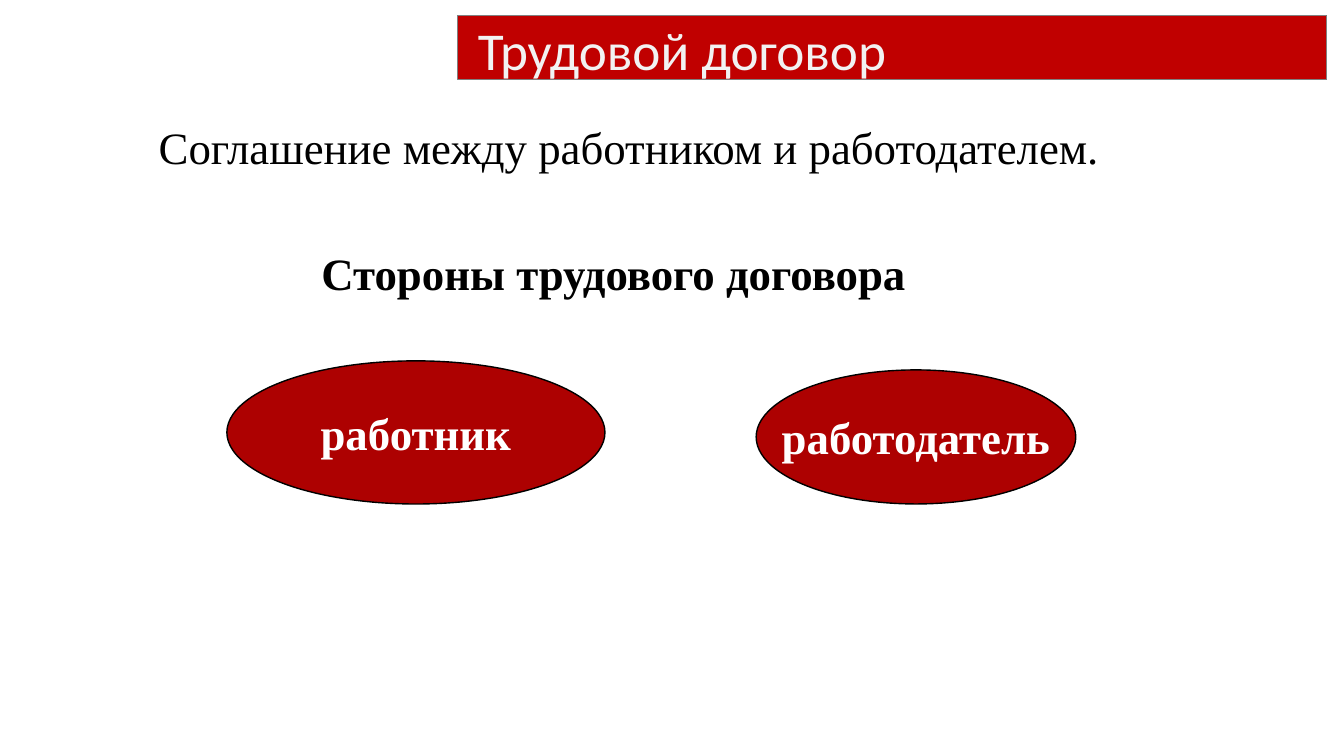
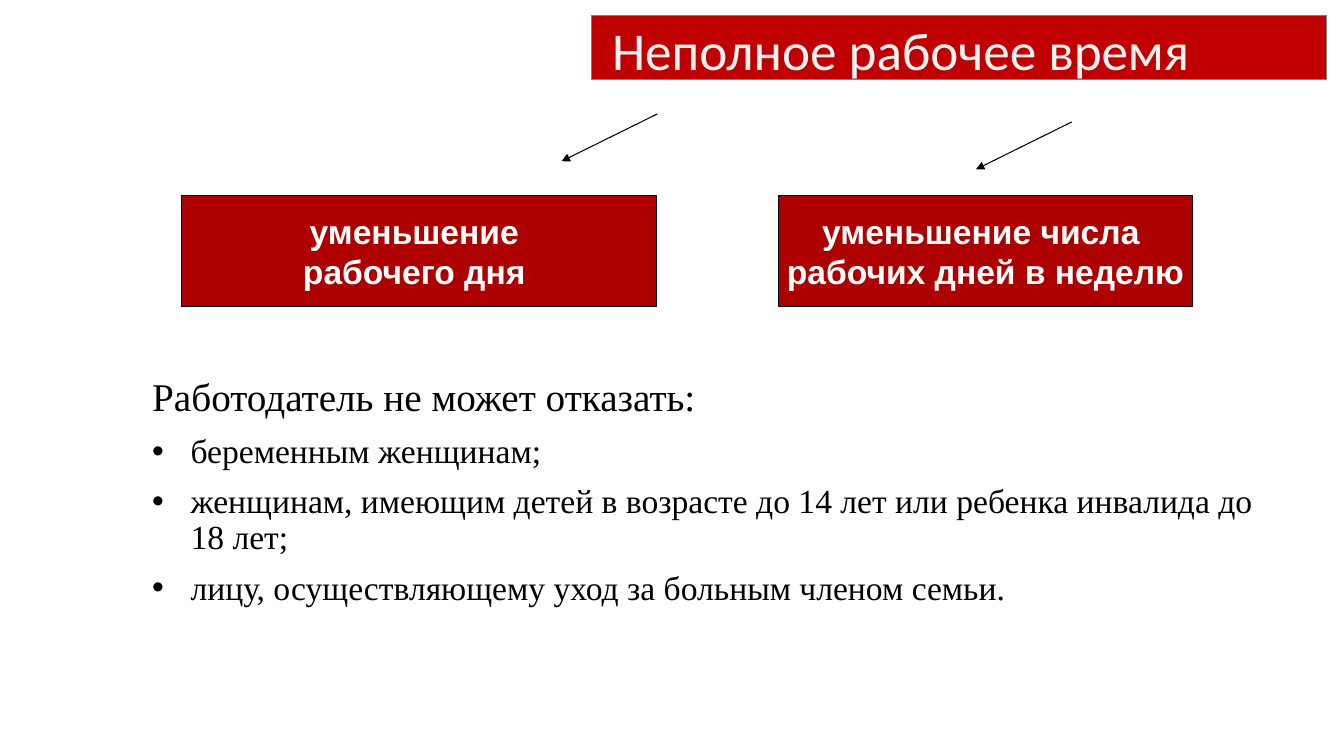
from dataclasses import dataclass

from lxml.etree import SubElement
from pptx import Presentation
from pptx.dml.color import RGBColor
from pptx.enum.shapes import MSO_CONNECTOR as Connector, MSO_SHAPE as Preset
from pptx.enum.text import MSO_ANCHOR as Anchor, MSO_AUTO_SIZE as AutoSize, PP_ALIGN as Align
from pptx.oxml.ns import qn
from pptx.util import Inches, Pt

COLORS = {
    "band": "C00000",
    "band_line": "808080",
    "title": "F2F2F2",
    "box": "AD0101",
    "dark": "000000",
    "light": "FFFFFF",
}
SERIF, SANS, TITLE_FONT = "Times New Roman", "Arial", "Calibri"
BAND_RIGHT, BAND_TOP, BAND_HEIGHT = 13.16, 0.15, 0.64


@dataclass
class Box:
    text: str
    left: float
    top: float
    width: float
    height: float


@dataclass
class Arrow:
    left: float
    top: float
    width: float = 0.95
    height: float = 0.47


def color(name: str) -> RGBColor:
    return RGBColor.from_string(COLORS[name])


def write_text(paragraph, text: str, *, size: float, font: str = SERIF, ink: str = "dark",
               bold: bool = False, align=Align.LEFT, line=1.0, before: float = 0,
               margin: float = 0, indent: float = 0, bullet: str = "") -> None:
    properties = paragraph._p.get_or_add_pPr()
    properties.set("marL", str(Inches(margin)))
    properties.set("indent", str(Inches(indent)))
    if bullet:
        SubElement(properties, qn("a:buFont"), typeface=SANS)
        SubElement(properties, qn("a:buChar"), char=bullet)
    else:
        SubElement(properties, qn("a:buNone"))
    paragraph.alignment = align
    paragraph.line_spacing = line
    paragraph.space_before = Pt(before)
    run = paragraph.add_run()
    run.text = text
    run.font.size = Pt(size)
    run.font.name = font
    run.font.bold = bold
    run.font.color.rgb = color(ink)


def place(shape, left: float, top: float, width: float, height: float) -> None:
    shape.left, shape.top = Inches(left), Inches(top)
    shape.width, shape.height = Inches(width), Inches(height)


def set_frame(frame, anchor, insets: tuple, wrap: bool = True) -> None:
    frame.auto_size = AutoSize.NONE
    frame.word_wrap = wrap
    frame.vertical_anchor = anchor
    (frame.margin_left, frame.margin_top,
     frame.margin_right, frame.margin_bottom) = map(Inches, insets)


def paint(shape, fill: str, outline: str, width: float) -> None:
    shape.fill.solid()
    shape.fill.fore_color.rgb = color(fill)
    shape.line.color.rgb = color(outline)
    shape.line.width = Pt(width)


def add_titled_slide(presentation, title: str, band_left: float):
    slide = presentation.slides.add_slide(presentation.slide_layouts[1])
    band = slide.shapes.title
    place(band, band_left, BAND_TOP, BAND_RIGHT - band_left, BAND_HEIGHT)
    paint(band, "band", "band_line", 0.75)
    set_frame(band.text_frame, Anchor.MIDDLE, (0.2, 0.31, 0.2, 0.2))
    write_text(band.text_frame.paragraphs[0], title, size=38, font=TITLE_FONT,
               ink="title", line=Pt(40))
    return slide


def fill_body(slide, area: tuple, insets: tuple, items: list[tuple[str, dict]]) -> None:
    body = slide.placeholders[1]
    place(body, *area)
    frame = body.text_frame
    set_frame(frame, Anchor.TOP, insets)
    for number, (text, style) in enumerate(items):
        paragraph = frame.add_paragraph() if number else frame.paragraphs[0]
        write_text(paragraph, text, line=0.9, **style)


def add_box(slide, box: Box, preset, *, size: float, font: str, outline: float) -> None:
    shape = slide.shapes.add_shape(preset, 0, 0, 0, 0)
    place(shape, box.left, box.top, box.width, box.height)
    shape.shadow.inherit = False
    paint(shape, "box", "dark", outline)
    frame = shape.text_frame
    set_frame(frame, Anchor.MIDDLE, (0.1, 0.05, 0.1, 0.05), wrap=False)
    for number, text in enumerate(box.text.split("\n")):
        paragraph = frame.add_paragraph() if number else frame.paragraphs[0]
        write_text(paragraph, text, size=size, font=font, ink="light", bold=True,
                   align=Align.CENTER)


def add_arrow(slide, arrow: Arrow) -> None:
    """Draw an arrow from the upper right to the lower left corner."""
    connector = slide.shapes.add_connector(
        Connector.STRAIGHT, Inches(arrow.left + arrow.width), Inches(arrow.top),
        Inches(arrow.left), Inches(arrow.top + arrow.height))
    connector.line.color.rgb = color("dark")
    connector.line.width = Pt(0.75)
    SubElement(connector.line._get_or_add_ln(), qn("a:tailEnd"), type="triangle")
    SubElement(connector._element.spPr, qn("a:effectLst"))


def build_contract_slide(presentation) -> None:
    slide = add_titled_slide(presentation, "Трудовой договор", 4.54)
    centred = {"size": 32, "align": Align.CENTER, "margin": 0.29}
    fill_body(slide, (0.12, 1.2, 11.93, 5.88), (0.1, 0.05, 0.1, 0.05), [
        ("Соглашение между работником и работодателем.", {**centred, "indent": 0.02}),
        ("Стороны трудового договора",
         {**centred, "indent": -0.29, "bold": True, "before": 55}),
    ])
    # The two parties
    for party in (Box("работник", 2.25, 3.58, 3.75, 1.42),
                  Box("работодатель", 7.5, 3.67, 3.17, 1.33)):
        add_box(slide, party, Preset.OVAL, size=32, font=SERIF, outline=1)


def build_part_time_slide(presentation) -> None:
    slide = add_titled_slide(presentation, "Неполное рабочее время", 5.87)
    # The two kinds of reduction
    for kind in (Box("уменьшение \nрабочего дня ", 1.8, 1.94, 4.71, 1.1),
                 Box("уменьшение числа \nрабочих дней в неделю", 7.72, 1.94, 4.11, 1.1)):
        add_box(slide, kind, Preset.RECTANGLE, size=24, font=SANS, outline=0.75)
    for arrow in (Arrow(5.57, 1.13), Arrow(9.68, 1.21)):
        add_arrow(slide, arrow)
    # Who cannot be refused
    bulleted = {"size": 24, "before": 10, "margin": 0.38, "indent": -0.38, "bullet": "•"}
    people = (
        "беременным женщинам;",
        "женщинам, имеющим детей в возрасте до 14 лет или ребенка инвалида до 18 лет;",
        "лицу, осуществляющему уход за больным членом семьи.",
    )
    fill_body(slide, (1.51, 3.75, 11.18, 2.6), (0, 0, 0, 0),
              [("Работодатель не может отказать:", {"size": 28})]
              + [(person, bulleted) for person in people])


def main() -> None:
    presentation = Presentation()
    presentation.slide_width, presentation.slide_height = Inches(13.33), Inches(7.5)
    build_contract_slide(presentation)
    build_part_time_slide(presentation)
    presentation.save("out.pptx")


if __name__ == "__main__":
    main()
